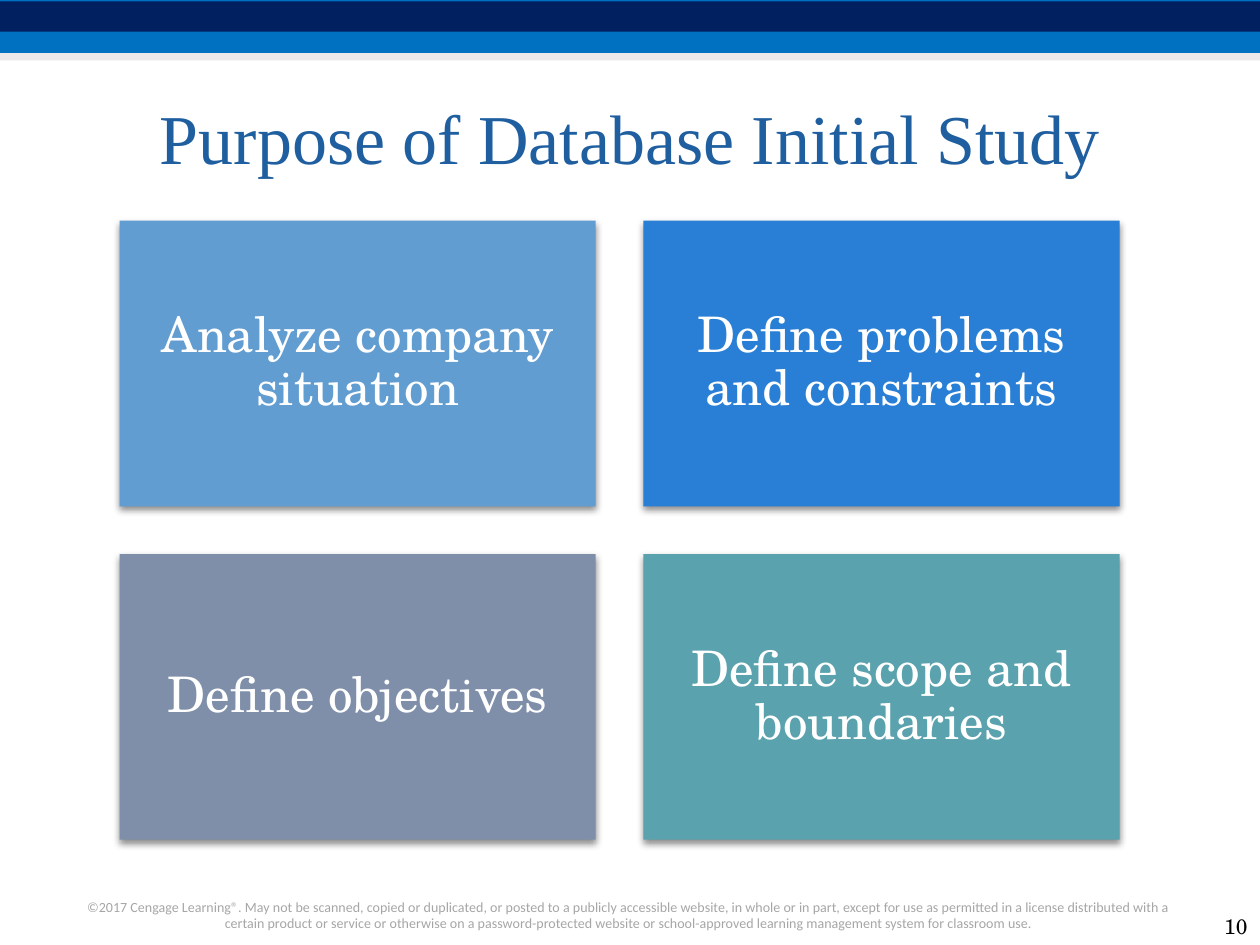
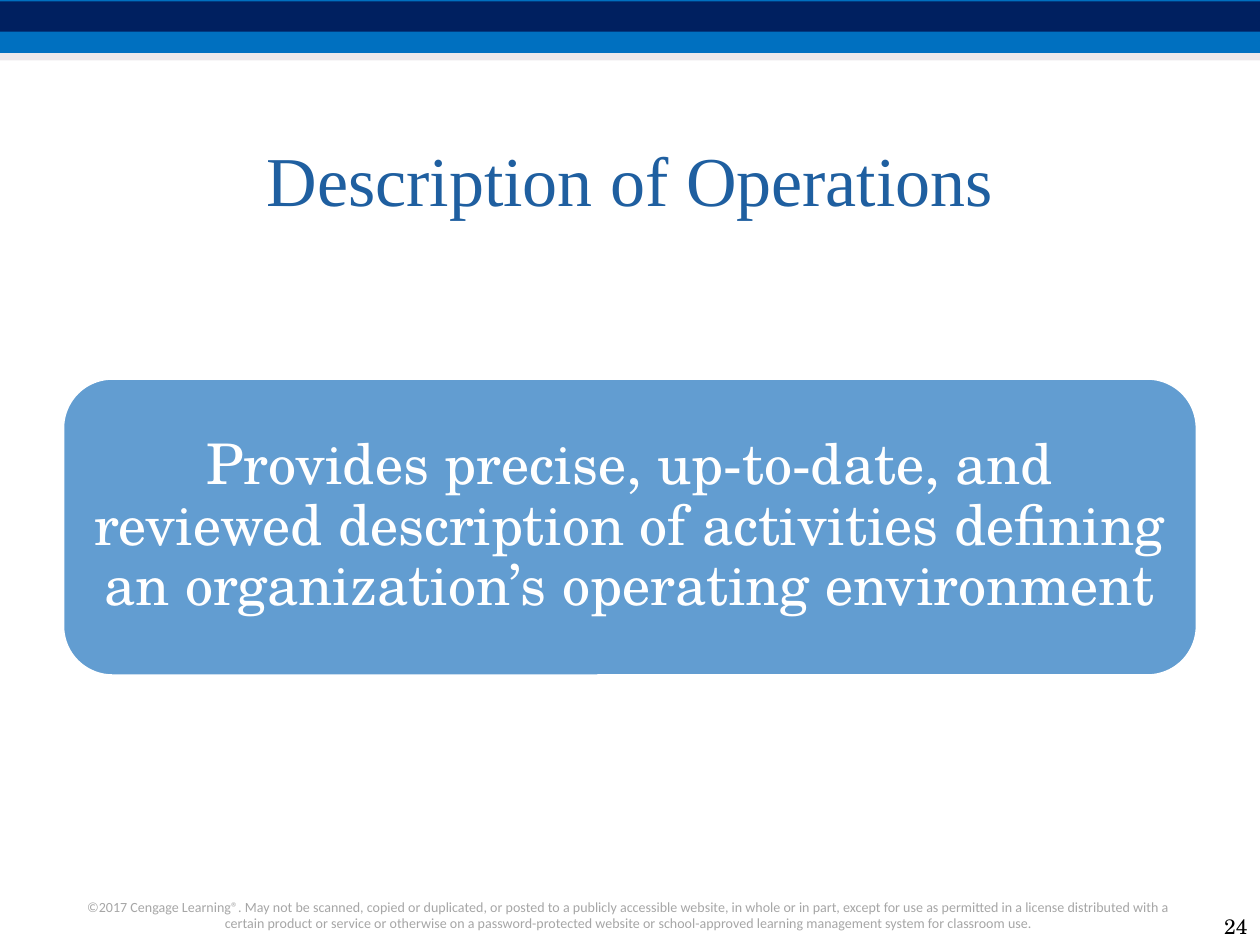
import lxml.etree
import pptx
import pptx.dml.color
import pptx.enum.shapes
import pptx.enum.text
import pptx.oxml.ns
import pptx.util

Cm = pptx.util.Cm
ALIGN = pptx.enum.text.PP_ALIGN
ANCHOR = pptx.enum.text.MSO_ANCHOR
SHAPE = pptx.enum.shapes.MSO_SHAPE

PURPOSE = {
    "title": "Purpose of Database Initial Study",
    "title_top": 1.27,
    "number": "10",
    "tiles": [
        ("Analyze company situation", "sky"),
        ("Define problems and constraints", "blue"),
        ("Define objectives", "slate"),
        ("Define scope and boundaries", "teal"),
    ],
}
OPERATIONS = {
    "title": "Description of Operations",
    "title_top": 2.11,
    "number": "24",
    "statement": "Provides precise, up-to-date, and reviewed description of "
                 "activities defining an organization’s operating environment",
}
COPYRIGHT = (
    "©2017 Cengage Learning®. May not be scanned, copied or duplicated, or posted "
    "to a publicly accessible website, in whole or in part, except for use as "
    "permitted in a license distributed with a certain product or service or "
    "otherwise on a password-protected website or school-approved learning "
    "management system for classroom use."
)

COLORS = {
    "bright_band": "0070C0", "navy_band": "002060", "pale_band": "D8D3D9",
    "title": "1F5FA0", "copyright": "A6A6A6", "black": "000000", "white": "FFFFFF",
    "sky": "629DD1", "blue": "297FD5", "slate": "7F8FA9", "teal": "5AA2AE",
}
TITLE_FONT, BODY_FONT, FOOTER_FONT = "Times New Roman", "TeX Gyre Schola", "Calibri"

SLIDE_WIDTH, SLIDE_HEIGHT = 25.4, 19.05
# top, height, colour, opacity in percent
BANDS = [(0, 1.07, "bright_band", 100), (0.03, 0.61, "navy_band", 100),
         (1.07, 0.15, "pale_band", 50)]
MARGIN, TITLE_HEIGHT = 1.27, 2.97
CONTENT_WIDTH = SLIDE_WIDTH - 2 * MARGIN
GRID_LEFT, GRID_TOP, GRID_COLUMNS = 2.41, 4.45, 2
TILE_WIDTH, TILE_HEIGHT, TILE_GAP = 9.6, 5.76, 0.96


def rgb(name):
    return pptx.dml.color.RGBColor.from_string(COLORS[name])


def write(shape, text, *, size, font=BODY_FONT, color="white", align=ALIGN.CENTER,
          anchor=ANCHOR.MIDDLE, inset=None, line_spacing=None):
    frame = shape.text_frame
    frame.word_wrap = True
    frame.vertical_anchor = anchor
    if inset is not None:
        frame.margin_left = frame.margin_right = Cm(inset)
        frame.margin_top = frame.margin_bottom = Cm(inset)
    paragraph = frame.paragraphs[0]
    paragraph.text = text
    paragraph.alignment = align
    paragraph.line_spacing = line_spacing
    paragraph.font.size = pptx.util.Pt(size)
    paragraph.font.name = font
    paragraph.font.color.rgb = rgb(color)


def add_block(slide, kind, left, top, width, height, fill):
    shape = slide.shapes.add_shape(kind, Cm(left), Cm(top), Cm(width), Cm(height))
    shape.shadow.inherit = False
    shape.fill.solid()
    shape.fill.fore_color.rgb = rgb(fill)
    shape.line.fill.background()
    return shape


def add_text(slide, text, left, top, width, height, **text_format):
    box = slide.shapes.add_textbox(Cm(left), Cm(top), Cm(width), Cm(height))
    write(box, text, **text_format)


def add_alpha(color_element, percent):
    tag = pptx.oxml.ns.qn("a:alpha")
    lxml.etree.SubElement(color_element, tag, val=str(percent * 1000))


def cast_shadow(shape):
    """Give the shape a soft shadow straight below it."""
    qn = pptx.oxml.ns.qn
    effects = shape._element.spPr.find(qn("a:effectLst"))
    shadow = lxml.etree.SubElement(
        effects, qn("a:outerShdw"), blurRad=str(pptx.util.Pt(4)),
        dist=str(pptx.util.Pt(2)), dir=str(90 * 60000), rotWithShape="0")
    color = lxml.etree.SubElement(shadow, qn("a:srgbClr"), val=COLORS["black"])
    add_alpha(color, 45)


def add_slide(presentation, content):
    """Add a slide with the shared bands, title, copyright line and number."""
    slide = presentation.slides.add_slide(presentation.slide_layouts[5])
    for top, height, color, opacity in BANDS:
        band = add_block(slide, SHAPE.RECTANGLE, 0, top, SLIDE_WIDTH, height, color)
        if opacity < 100:
            tag = pptx.oxml.ns.qn("a:srgbClr")
            add_alpha(next(band._element.spPr.iter(tag)), opacity)
    title = slide.shapes.title
    title.left, title.top = Cm(MARGIN), Cm(content["title_top"])
    title.width, title.height = Cm(CONTENT_WIDTH), Cm(TITLE_HEIGHT)
    write(title, content["title"], size=40, font=TITLE_FONT, color="title")
    add_text(slide, COPYRIGHT, 1.47, 17.98, 22.43, 0.94, size=8,
             font=FOOTER_FONT, color="copyright", anchor=ANCHOR.TOP)
    add_text(slide, content["number"], SLIDE_WIDTH - 1.27, SLIDE_HEIGHT - 0.84,
             1.27, 0.84, size=12, color="black", align=ALIGN.RIGHT,
             anchor=ANCHOR.BOTTOM)
    return slide


def add_tiles(slide, tiles):
    for index, (text, color) in enumerate(tiles):
        row, column = divmod(index, GRID_COLUMNS)
        tile = add_block(slide, SHAPE.RECTANGLE,
                         GRID_LEFT + column * (TILE_WIDTH + TILE_GAP),
                         GRID_TOP + row * (TILE_HEIGHT + TILE_GAP),
                         TILE_WIDTH, TILE_HEIGHT, color)
        cast_shadow(tile)
        write(tile, text, size=28, inset=0.3, line_spacing=0.9)


def add_statement(slide, text):
    panel = add_block(slide, SHAPE.ROUNDED_RECTANGLE, MARGIN, 7.63,
                      CONTENT_WIDTH, 5.99, "sky")
    panel.line.color.rgb = rgb("white")
    panel.line.width = pptx.util.Pt(1.5)
    write(panel, text, size=32, inset=0.33, line_spacing=0.9)


def main():
    presentation = pptx.Presentation()
    presentation.slide_width = Cm(SLIDE_WIDTH)
    presentation.slide_height = Cm(SLIDE_HEIGHT)
    add_tiles(add_slide(presentation, PURPOSE), PURPOSE["tiles"])
    add_statement(add_slide(presentation, OPERATIONS), OPERATIONS["statement"])
    presentation.save("out.pptx")


if __name__ == "__main__":
    main()
